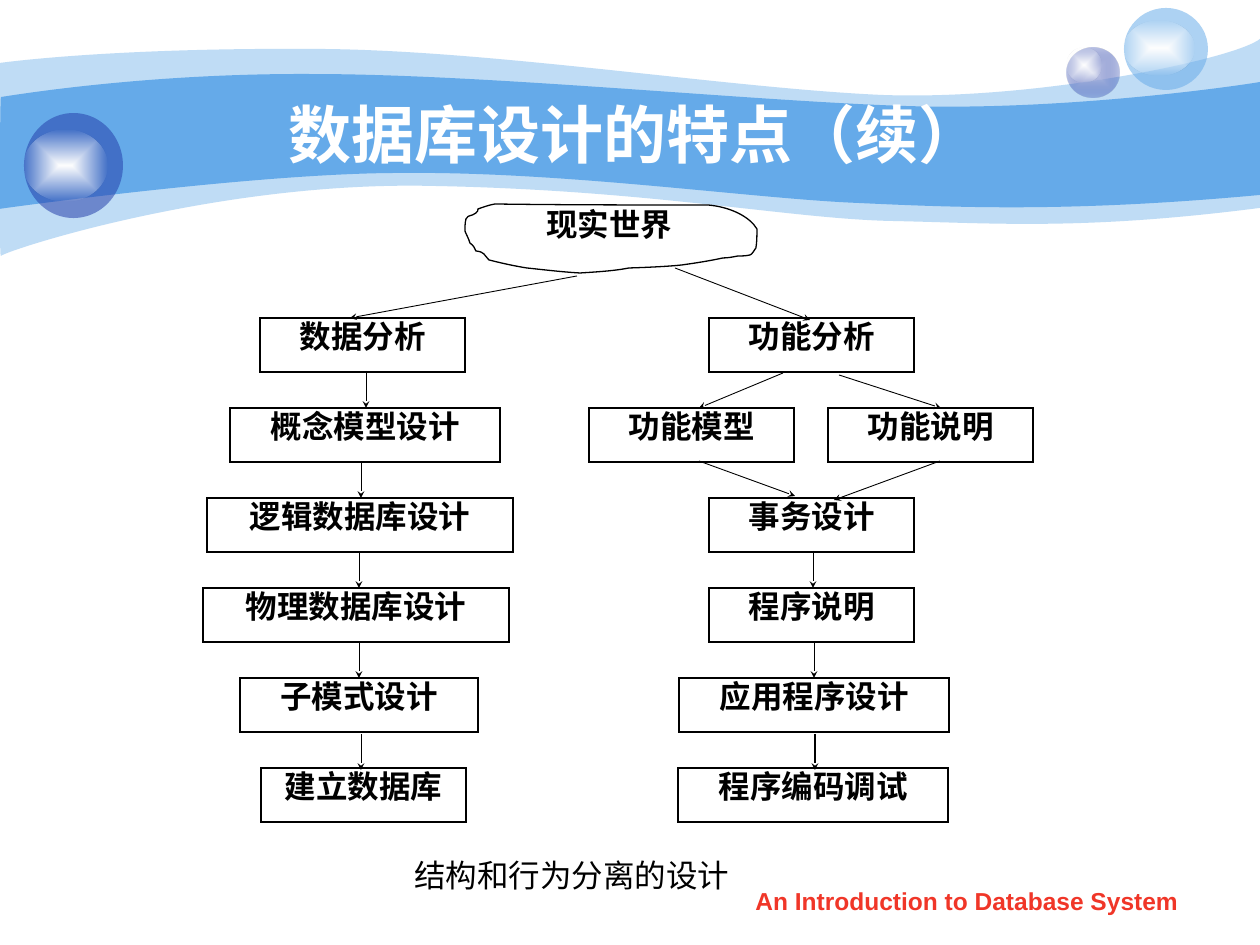
"""Builds a slide on how database structure and behaviour are designed apart."""
from lxml.etree import SubElement
from pptx import Presentation
from pptx.dml.color import RGBColor
from pptx.enum.shapes import MSO_CONNECTOR as Link, MSO_SHAPE as Preset
from pptx.enum.text import MSO_ANCHOR as Anchor, MSO_AUTO_SIZE as AutoSize, PP_ALIGN as Align
from pptx.oxml import parse_xml
from pptx.oxml.ns import nsdecls, qn
from pptx.util import Pt

SCALE = 914400 / 126
COLORS = {"sky": "65AAE9", "navy": "233DA9", "lilac": "C6CCE8", "white": "FFFFFF",
          "glow": "FEFEFE", "black": "000000", "red": "F03628"}


def draw_curve(page, start, segments):
    ends = [segment[-1] for segment in segments]
    left, top = (min(values) for values in zip(start, *ends))
    builder = page.shapes.build_freeform(*start, scale=SCALE)
    builder.add_line_segments(ends)
    shape = builder.convert_to_shape()
    shape.shadow.inherit = False
    shape.fill.background()
    shape.line.fill.background()
    for line, segment in zip(list(shape._element.iter(qn("a:lnTo"))), segments):
        if len(segment) == 3:
            points = "".join(f'<a:pt x="{x - left}" y="{y - top}"/>' for x, y in segment)
            line.getparent().replace(line, parse_xml(
                f'<a:cubicBezTo {nsdecls("a")}>{points}</a:cubicBezTo>'))
    return shape


def paint(shape, *stops):
    colors = [f'<a:srgbClr val="{COLORS[name]}"><a:alpha val="{alpha * 1000}"/></a:srgbClr>'
              for name, alpha in stops]
    if len(colors) == 1:
        xml = f'<a:solidFill {nsdecls("a")}>{colors[0]}</a:solidFill>'
    else:
        xml = (f'<a:gradFill {nsdecls("a")} rotWithShape="1"><a:gsLst><a:gs pos="0">{colors[0]}</a:gs>'
               f'<a:gs pos="100000">{colors[1]}</a:gs></a:gsLst><a:path path="rect">'
               '<a:fillToRect l="50000" t="50000" r="50000" b="50000"/></a:path></a:gradFill>')
    shape.fill.background()
    props = shape._element.spPr
    props.replace(props.find(qn("a:noFill")), parse_xml(xml))


deck = Presentation()
deck.slide_width, deck.slide_height = round(1260 * SCALE), round(945 * SCALE)
page = deck.slides.add_slide(deck.slide_layouts[6])

outer_band = draw_curve(page, (0, 63), [
    ((30, 59), (135, 48), (311, 49)), ((486, 49), (725, 88), (881, 95)),
    ((1036, 101), (1235, 59), (1260, 39)), ((1260, 208),),
    ((1081, 231), (992, 223), (888, 221)), ((784, 218), (649, 190), (432, 186)),
    ((217, 181), (5, 251), (1, 256)), ((-1, 262), (0, 95), (0, 63))])
paint(outer_band, ("sky", 41))
inner_band = draw_curve(page, (1, 97), [
    ((3, 97), (139, 73), (312, 74)), ((486, 74), (750, 101), (905, 106)),
    ((1060, 111), (1230, 87), (1260, 82)), ((1260, 195),),
    ((1075, 212), (964, 208), (859, 203)), ((755, 199), (563, 171), (399, 173)),
    ((256, 173), (-3, 209), (-1, 209)), ((0, 209), (0, 97), (1, 97))])
paint(inner_band, ("sky", 100))

shine = [("white", 100), ("glow", 0)]
orbs = [
    ((1067, 48, 53, 50), [("lilac", 100), ("navy", 31)]), ((1067, 48, 35, 34), shine),
    ((1124, 8, 84, 82), [("sky", 53)]), ((1124, 21, 70, 54), shine),
    ((24, 113, 99, 105), [("navy", 53)]), ((24, 130, 83, 71), shine),
]
for place, stops in orbs:
    orb = page.shapes.add_shape(Preset.OVAL, *[round(v * SCALE) for v in place])
    orb.shadow.inherit = False
    orb.line.fill.background()
    paint(orb, *stops)

cloud = draw_curve(page, (478, 209), [
    ((484, 207), (489, 205), (495, 204)), ((566, 205), (638, 205), (708, 205)),
    ((731, 207), (750, 217), (757, 229)), ((757, 236), (757, 242), (756, 248)),
    ((755, 249), (752, 255), (750, 255)), ((746, 256), (742, 256), (738, 256)),
    ((733, 257), (728, 258), (723, 258)), ((709, 261), (696, 263), (682, 265)),
    ((664, 267), (629, 268), (629, 268)), ((614, 271), (596, 272), (580, 273)),
    ((562, 272), (546, 270), (527, 268)), ((514, 266), (501, 263), (489, 260)),
    ((484, 255), (485, 252), (476, 251)), ((475, 249), (475, 248), (474, 247)),
    ((474, 246), (471, 244), (470, 243)), ((469, 239), (466, 234), (465, 231)),
    ((465, 227), (465, 223), (466, 219)), ((469, 214), (471, 217), (476, 213)),
    ((478, 212), (478, 210), (478, 209))])
cloud.line.color.rgb = RGBColor.from_string(COLORS["black"])
cloud.line.width = Pt(0.75)

top_anchor = {"vertical_anchor": Anchor.TOP, "word_wrap": True}
tight = {"alignment": Align.CENTER, "line_spacing": 0.8}
centered = {"alignment": Align.CENTER}
step_font = {"name": "Times New Roman", "size": Pt(18), "bold": True}
labels = [
    ("数据库设计的特点（续）", (126, 94, 1018, 78), "white",
     {"vertical_anchor": Anchor.MIDDLE, "word_wrap": True}, centered,
     {"name": "Arial", "size": Pt(36), "bold": True}),
    ("现实世界", (510, 206, 198, 64), "black", top_anchor, tight, step_font),
    ("结构和行为分离的设计", (402, 850, 348, 50), "black",
     {"vertical_anchor": Anchor.MIDDLE, "word_wrap": False,
      "auto_size": AutoSize.SHAPE_TO_FIT_TEXT}, {"alignment": Align.LEFT},
     {"name": "Times New Roman", "size": Pt(18), "bold": False}),
    ("An Introduction to Database System", (719, 880, 496, 44), "red", top_anchor, centered,
     {"name": "Arial", "size": Pt(14), "bold": True}),
]
steps = [
    ("数据分析", 0, 260, 205), ("概念模型设计", 1, 230, 270), ("逻辑数据库设计", 2, 207, 306),
    ("物理数据库设计", 3, 203, 306), ("子模式设计", 4, 240, 238), ("建立数据库", 5, 261, 205),
    ("功能分析", 0, 709, 205), ("功能模型", 1, 589, 205), ("功能说明", 1, 828, 205),
    ("事务设计", 2, 709, 205), ("程序说明", 3, 709, 205), ("应用程序设计", 4, 679, 270),
    ("程序编码调试", 5, 678, 270),
]
step_names = [step[0] for step in steps]
for name, row, left, width in steps:
    labels.append((name, (left, 318 + 90 * row, width, 54), "black", top_anchor, tight, step_font))

for text, place, color, frame_format, para_format, font_format in labels:
    area = [round(v * SCALE) for v in place]
    if text in step_names:
        box = page.shapes.add_shape(Preset.RECTANGLE, *area)
        box.shadow.inherit = False
        box.fill.background()
        box.line.color.rgb = RGBColor.from_string(COLORS["black"])
        box.line.width = Pt(0.75)
        SubElement(box.line._get_or_add_ln(), qn("a:miter"), lim="800000")
    else:
        box = page.shapes.add_textbox(*area)
    para = box.text_frame.paragraphs[0]
    span = para.add_run()
    span.text = text
    span.font.color.rgb = RGBColor.from_string(COLORS[color])
    for target, values in ((box.text_frame, frame_format), (para, para_format),
                           (span.font, font_format)):
        for key, value in values.items():
            setattr(target, key, value)

arrows = [
    (577, 276, 350, 318), (366, 371, 366, 408), (361, 462, 361, 498), (359, 553, 359, 588),
    (359, 643, 359, 678), (361, 734, 361, 770), (675, 268, 810, 320), (783, 373, 699, 408),
    (839, 375, 941, 408), (699, 461, 795, 496), (940, 461, 834, 500), (813, 551, 813, 588),
    (814, 642, 814, 678), (815, 734, 815, 770),
]
for ends in arrows:
    arrow = page.shapes.add_connector(Link.STRAIGHT, *[round(v * SCALE) for v in ends])
    arrow.line.color.rgb = RGBColor.from_string(COLORS["black"])
    arrow.line.width = Pt(0.75 if ends == arrows[-1] else 0.5)
    SubElement(arrow.line._get_or_add_ln(), qn("a:tailEnd"), type="stealth", w="sm", len="sm")
    SubElement(arrow._element.spPr, qn("a:effectLst"))

deck.save("out.pptx")
